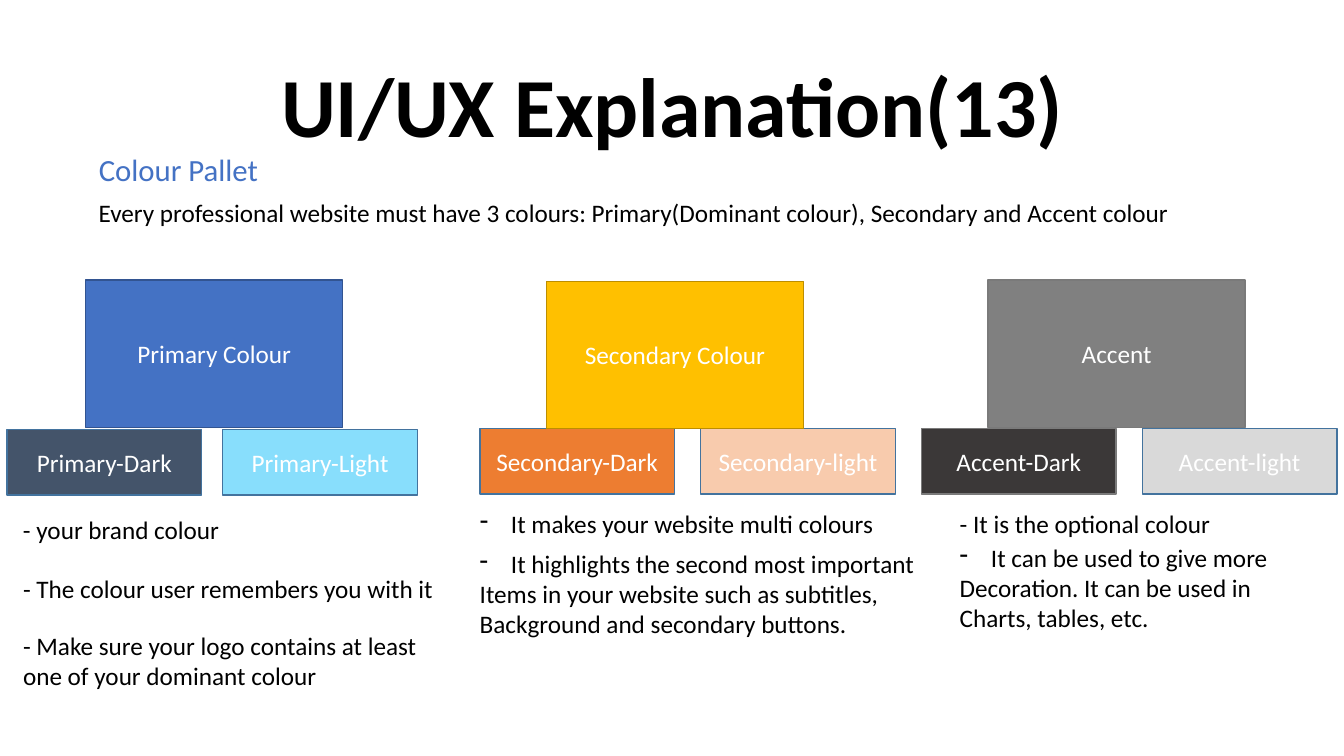
"""Build the colour palette slide of a UI/UX explanation deck."""
from dataclasses import dataclass

from pptx import Presentation
from pptx.dml.color import RGBColor
from pptx.enum.shapes import MSO_SHAPE as SHAPE
from pptx.enum.text import MSO_ANCHOR as ANCHOR, MSO_AUTO_SIZE as AUTO, PP_ALIGN as ALIGN
from pptx.oxml.xmlchemy import OxmlElement
from pptx.util import Inches, Pt


@dataclass(frozen=True)
class Theme:
    font: str = "Calibri"
    title: int = 60
    heading: int = 22
    body: int = 18
    text: str = "000000"
    white: str = "FFFFFF"
    primary: str = "4472C4"
    primary_dark: str = "44546A"
    primary_light: str = "88DEFC"
    primary_line: str = "325491"
    secondary: str = "FFC000"
    secondary_dark: str = "ED7D31"
    secondary_light: str = "F8CBAD"
    secondary_line: str = "BD8E00"
    accent: str = "808080"
    accent_dark: str = "3B3838"
    accent_light: str = "D9D9D9"
    accent_line: str = "7A7A7A"
    variant_line: str = "43739E"


T = Theme()


def write(tf, text, size=T.body, color=T.text, bold=False, align=ALIGN.LEFT,
          anchor=ANCHOR.TOP, wrap=True, auto=AUTO.NONE, spacing=1.0, bullet=False):
    tf.word_wrap, tf.auto_size, tf.vertical_anchor = wrap, auto, anchor
    for i, line in enumerate(text.split("\n")):
        p = tf.add_paragraph() if i else tf.paragraphs[0]
        p.alignment, p.line_spacing, p.space_before = align, spacing, Pt(0)
        r = p.add_run()
        r.text = line
        r.font.name, r.font.size, r.font.bold = T.font, Pt(size), bold
        r.font.color.rgb = RGBColor.from_string(color)
        if bullet and i == 0:
            pPr = p._p.get_or_add_pPr()
            pPr.set("marL", str(Inches(0.31)))
            pPr.set("indent", str(-Inches(0.31)))
            dash = OxmlElement("a:buChar")
            dash.set("char", "-")
            pPr.append(dash)


prs = Presentation()
prs.slide_width, prs.slide_height = Inches(13.33), Inches(7.5)
s = prs.slides.add_slide(prs.slide_layouts[0])

title, heading = s.placeholders
title.left, title.top, title.width, title.height = map(Inches, (1.67, 0.46, 10, 1.13))
write(title.text_frame, "UI/UX Explanation(13)", size=T.title, bold=True,
      align=ALIGN.CENTER, anchor=ANCHOR.BOTTOM, spacing=0.9)
heading.left, heading.top, heading.width, heading.height = map(Inches, (0.88, 1.44, 1.8, 0.47))
write(heading.text_frame, "Colour Pallet", size=T.heading, color=T.primary,
      wrap=False, auto=AUTO.SHAPE_TO_FIT_TEXT)

MAIN, VARIANT = (2.55, 1.46), (1.93, 0.65)
swatches = [
    ("Primary-Light", 2.21, 4.26, VARIANT, T.primary_light, T.variant_line),
    ("Primary-Dark", 0.07, 4.26, VARIANT, T.primary_dark, T.variant_line),
    ("Primary Colour", 0.85, 2.78, MAIN, T.primary, T.primary_line),
    ("Secondary-light", 6.95, 4.25, VARIANT, T.secondary_light, T.variant_line),
    ("Secondary-Dark", 4.76, 4.25, VARIANT, T.secondary_dark, T.variant_line),
    ("Secondary Colour", 5.42, 2.79, MAIN, T.secondary, T.secondary_line),
    ("Accent-light", 11.33, 4.25, VARIANT, T.accent_light, T.variant_line),
    ("Accent-Dark", 9.14, 4.25, VARIANT, T.accent_dark, T.accent_line),
    ("Accent", 9.8, 2.78, MAIN, T.accent, T.accent_line),
]
for label, left, top, size, fill, line in swatches:
    sp = s.shapes.add_shape(SHAPE.RECTANGLE, *map(Inches, (left, top, *size)))
    sp.shadow.inherit = False
    sp.fill.solid()
    sp.fill.fore_color.rgb = RGBColor.from_string(fill)
    sp.line.color.rgb = RGBColor.from_string(line)
    sp.line.width = Pt(1)
    write(sp.text_frame, label, color=T.white, align=ALIGN.CENTER, anchor=ANCHOR.MIDDLE)

notes = [
    ("Every professional website must have 3 colours: Primary(Dominant colour), "
     "Secondary and Accent colour", (0.88, 1.91, 10.94, 0.4), {}),
    ("- your brand colour", (0.13, 5.05, 2.17, 0.4), {}),
    ("- The colour user remembers you with it", (0.13, 5.64, 4.32, 0.4), {}),
    ("- Make sure your logo contains at least one of your dominant colour",
     (0.13, 6.2, 4.32, 0.71), {"wrap": True}),
    ("It makes your website multi colours", (4.66, 4.99, 4.15, 0.4), {"bullet": True}),
    ("It highlights the second most important\nItems in your website such as subtitles,\n"
     "Background and secondary buttons.", (4.66, 5.39, 4.56, 1.01), {"bullet": True}),
    ("- It is the optional colour", (9.42, 4.99, 2.78, 0.4), {}),
    ("It can be used to give more\nDecoration. It can be used in\nCharts, tables, etc.",
     (9.42, 5.33, 3.35, 1.01), {"bullet": True}),
]
for text, box, style in notes:
    tb = s.shapes.add_textbox(*map(Inches, box))
    write(tb.text_frame, text, **{"wrap": False, "auto": AUTO.SHAPE_TO_FIT_TEXT, **style})

prs.save("out.pptx")
